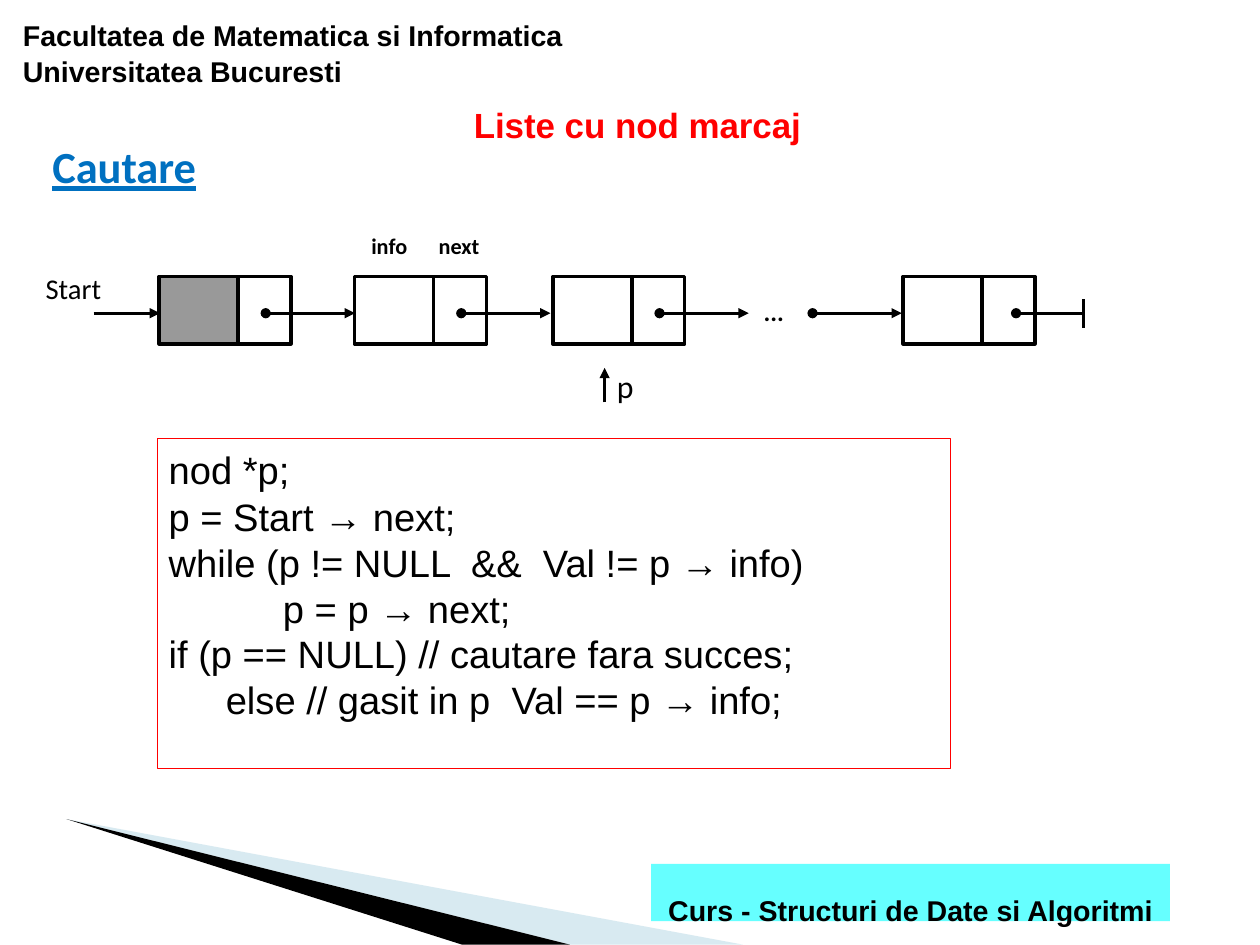
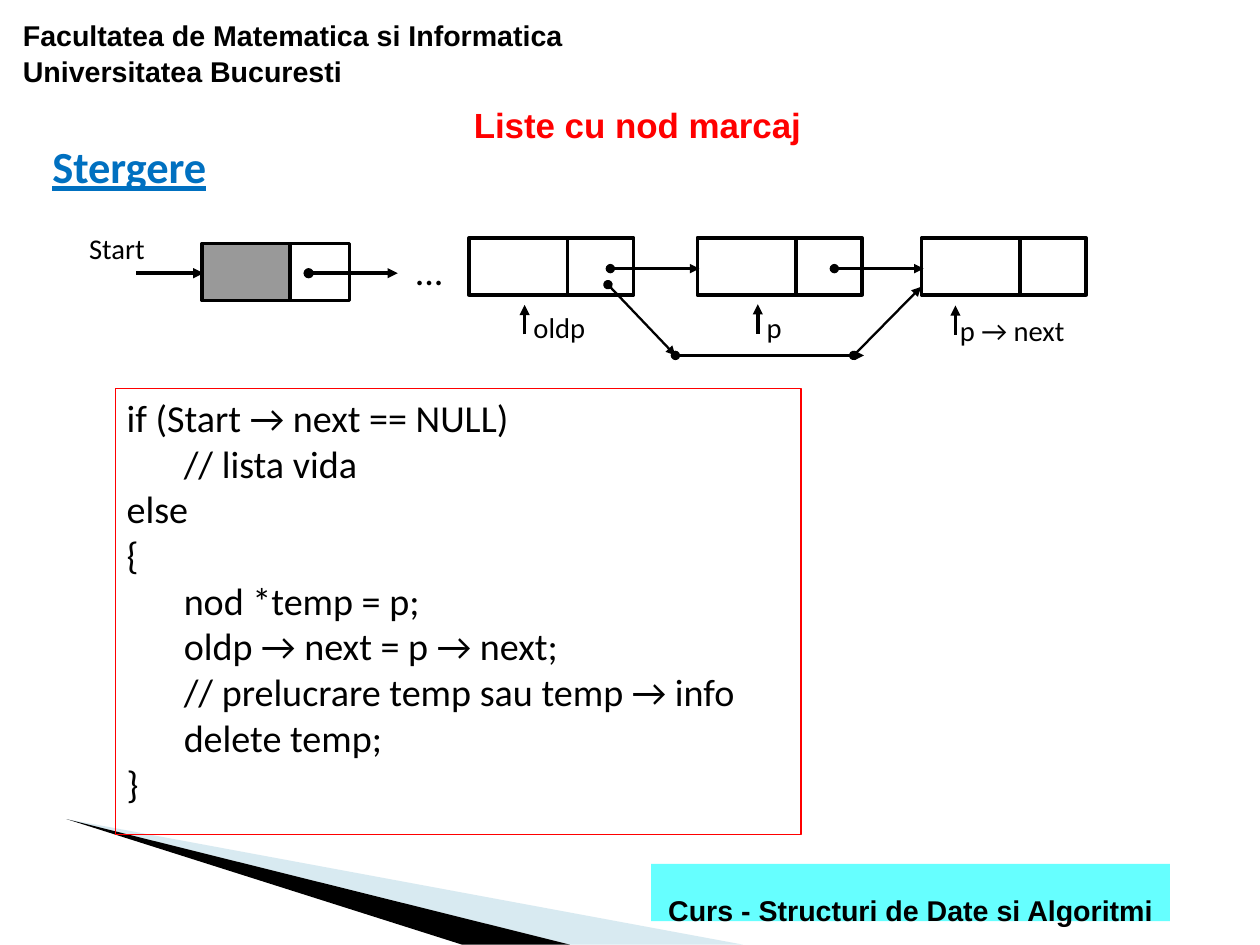
import pptx
import pptx.util
import pptx.dml.color
import pptx.enum.shapes
import pptx.enum.text
import pptx.oxml.ns
import lxml.etree

Pt = pptx.util.Pt
KIND = pptx.enum.shapes.MSO_SHAPE.RECTANGLE
TOP = pptx.enum.text.MSO_ANCHOR.TOP
MID = pptx.enum.text.MSO_ANCHOR.MIDDLE
LEFT = pptx.enum.text.PP_ALIGN.LEFT
MIDST = pptx.enum.text.PP_ALIGN.CENTER

# Content: all lengths are points
WIDE, HIGH = 793.75, 595.25
HUES = {"ink": "000000", "paper": "FFFFFF", "title": "FF0000", "head": "0070C0",
        "mark": "999999", "foot": "66FFFF", "wedge": "9FCBDC"}
SCHOOL = "Facultatea de Matematica si Informatica Universitatea Bucuresti"
TITLE = "Liste cu nod marcaj"
COURSE = "Curs - Structuri de Date si Algoritmi"
TIP = (42.5, 515.7)
WEDGES = [("wedge", 468, 359, 40), ("ink", 359, 291, 100)]
TAB = 36
BOLD, THIN = 2.15, 1.45

# Cell sizes: info width, next width, height
SMALL, FIRST, LARGE = (49.8, 33.3, 42.5), (55.4, 37.4, 36), (62.2, 41.6, 36)
ROW, AXIS = 174.2, 197.3
STARTS = [100.2, 223.4, 348.3, 568.9]
DOT, REACH = 67.2, 56.2

# Nodes: left, top, sizes, marked; lines: from, to, weight, head, tail
# Labels: text, box, size, bold, inset, anchor; code lines: tabs, text
SEARCH = {
    "head": "Cautare",
    "nodes": [(x, ROW, SMALL, x == STARTS[0]) for x in STARTS],
    "lines": [((x + DOT, AXIS), (x + DOT + REACH, AXIS), BOLD, "oval", "triangle")
              for x in STARTS[:3]] + [
        ((59, AXIS), (100.8, AXIS), BOLD, None, "triangle"),
        ((511.9, AXIS), (568.1, AXIS), BOLD, "oval", "triangle"),
        ((640.1, AXIS), (682.6, AXIS), BOLD, "oval", None),
        ((682.6, 188.6), (682.6, 206.6), BOLD, None, None),
        ((380.9, 253.4), (380.9, 231.8), BOLD, None, "triangle")],
    "labels": [
        ("...", (481, 184.3, 20.9, 23), 16, True, (0, 0), MID),
        ("Start", (21.6, 167, 66.2, 29.5), 18, False, (7.2, 3.6), TOP),
        ("info", (226.8, 142.6, 44.6, 27.4), 14, True, (7.2, 3.6), TOP),
        ("next", (269.3, 142.6, 54.7, 27.4), 14, True, (7.2, 3.6), TOP),
        ("p", (381.6, 227.5, 25.2, 30.2), 20, False, (7.2, 3.6), TOP)],
    "box": (99.2, 276.2, 499.7, 208.1), "font": "Arial", "loose": 2,
    "code": [(0, "nod *p;"), (0, "p = Start → next;"),
             (0, "while (p != NULL  &&  Val != p → info)"),
             (2, "p = p → next;"),
             (0, "if (p == NULL) // cautare fara succes;"),
             (1, "else // gasit in p\tVal == p → info;")],
}
DELETE = {
    "head": "Stergere",
    "nodes": [(127.4, 153.4, FIRST, True)] + [
        (x, 149.8, LARGE, False) for x in (295.4, 439.3, 580.5)],
    "lines": [
        ((85.7, 172.1), (128.2, 172.1), BOLD, None, "triangle"),
        ((194.4, 172.1), (250.6, 172.1), BOLD, "oval", "triangle"),
        ((384.5, 169.2), (440.6, 169.2), THIN, "oval", "triangle"),
        ((525.6, 169.2), (581.8, 169.2), THIN, "oval", "triangle"),
        ((383, 179.3), (425.5, 223.9), THIN, "oval", "triangle"),
        ((425.5, 223.9), (544.3, 223.9), THIN, "oval", "triangle"),
        ((537.8, 223.9), (580.3, 180.7), THIN, "oval", "triangle")] + [
        ((x, y + 18.6), (x, y), BOLD, None, "triangle")
        for x, y in ((330.5, 192), (477.4, 191.6), (601.9, 192.4))],
    "labels": [
        (text, box, size, False, (7.2, 3.6), TOP) for text, box, size in (
            ("Start", (49, 141.8, 66.2, 29.5), 18),
            ("...", (254.2, 152.6, 43.9, 34.6), 24),
            ("oldp", (329, 191.5, 56.9, 23.8), 18),
            ("p", (475.9, 191.5, 24.5, 23.8), 18),
            ("p → next", (597.6, 193.7, 102.2, 23.8), 18))],
    "box": (72.7, 244.8, 432, 280.8), "font": "Calibri", "loose": 0,
    "code": [(0, "if (Start → next == NULL)"), (1, "// lista vida"),
             (0, "else"), (0, "{"), (1, "nod *temp = p;"),
             (1, "oldp → next = p → next;"),
             (1, "// prelucrare temp sau temp → info"),
             (1, "delete temp;"), (0, "}")],
}


def hue(name):
    """Return the named colour."""
    return pptx.dml.color.RGBColor.from_string(HUES[name])


def child(node, tag, **marks):
    """Append a drawing element to a node."""
    return lxml.etree.SubElement(node, pptx.oxml.ns.qn("a:" + tag), marks)


def paint(shape, fill=None, line=None, width=BOLD):
    """Give a shape its fill and outline, without a shadow."""
    shape.shadow.inherit = False
    if fill:
        shape.fill.solid()
        shape.fill.fore_color.rgb = hue(fill)
    else:
        shape.fill.background()
    if line:
        shape.line.color.rgb = hue(line)
        shape.line.width = Pt(width)
    else:
        shape.line.fill.background()


def block(slide, box, **look):
    """Add a painted rectangle."""
    shape = slide.shapes.add_shape(KIND, *map(Pt, box))
    paint(shape, **look)
    return shape


def style(para, size, face="Calibri", color="ink", bold=False, line=False,
          align=LEFT, space=None):
    """Set the font, alignment and line spacing of a paragraph."""
    font = para.font
    font.size, font.name, font.bold, font.underline = Pt(size), face, bold, line
    font.color.rgb = hue(color)
    para.alignment = align
    if space:
        para.line_spacing = space


def frame(shape, inset=(7.2, 3.6), anchor=TOP):
    """Set the insets and anchor of a shape and return its text frame."""
    body = shape.text_frame
    body.word_wrap = True
    body.vertical_anchor = anchor
    body.margin_left = body.margin_right = Pt(inset[0])
    body.margin_top = body.margin_bottom = Pt(inset[1])
    return body


def label(slide, text, box, size, inset=(7.2, 3.6), anchor=TOP, **look):
    """Add a text box of one paragraph."""
    body = frame(slide.shapes.add_textbox(*map(Pt, box)), inset, anchor)
    body.text = text
    style(body.paragraphs[0], size, **look)


def base(slide, head):
    """Draw what all slides share, and the heading."""
    for color, right, left, alpha in WEDGES:
        form = slide.shapes.build_freeform(*TIP, scale=Pt(1))
        form.add_line_segments([(right, HIGH), (left, HIGH)], close=True)
        wedge = form.convert_to_shape()
        paint(wedge, fill=color)
        if alpha < 100:
            tone = wedge.fill._xPr.find(".//" + pptx.oxml.ns.qn("a:srgbClr"))
            child(tone, "alpha", val=str(alpha * 1000))
    label(slide, SCHOOL, (6.5, 6.2, 396.7, 52.6), 18, inset=(7.9, 4.3),
          face="Arial", bold=True, space=1.04)
    foot = frame(block(slide, (410.2, 544.2, 326.9, 36), fill="foot"), anchor=MID)
    foot.text = COURSE
    style(foot.paragraphs[0], 18, "Arial", bold=True, align=MIDST, space=2.0)
    label(slide, TITLE, (70.4, 63.4, 662.4, 28.8), 22, inset=(0, 0.7),
          face="Arial", color="title", bold=True, align=MIDST, space=1.04)
    label(slide, head, (25.9, 84.2, 226.1, 41), 28, anchor=MID,
          color="head", bold=True, line=True)


def node(slide, left, top, sizes, marked):
    """Draw a list node: an info cell and a next cell."""
    info, link, high = sizes
    block(slide, (left, top, info, high), fill="mark" if marked else None, line="ink")
    block(slide, (left + info, top, link, high), line="ink")


def link(slide, start, end, width, head, tail):
    """Draw a line with optional end marks."""
    kind = pptx.enum.shapes.MSO_CONNECTOR.STRAIGHT
    line = slide.shapes.add_connector(kind, *map(Pt, start + end))
    line.line.color.rgb = hue("ink")
    line.line.width = Pt(width)
    stroke = line.line._get_or_add_ln()
    for tag, mark in (("headEnd", head), ("tailEnd", tail)):
        if mark:
            child(stroke, tag, type=mark)
    child(line._element.spPr, "effectLst")


def code(slide, box, rows, face, loose):
    """Draw the framed code, one paragraph a line."""
    body = frame(block(slide, box, line="title", width=0.74))
    for i, (tabs, text) in enumerate(rows):
        para = body.paragraphs[0] if i == 0 else body.add_paragraph()
        para.text = text
        props = para._p.get_or_add_pPr()
        props.set("marL", str(Pt(tabs * TAB)))
        props.set("indent", "0")
        if "\t" in text:
            stops = child(props, "tabLst")
            for n in range(1, 8):
                child(stops, "tab", pos=str(Pt(n * TAB)), algn="l")
        style(para, 24, face, space=1.04 if i < loose else None)


def build(deck, page):
    """Add one slide."""
    slide = deck.slides.add_slide(deck.slide_layouts[6])
    slide.background.fill.solid()
    slide.background.fill.fore_color.rgb = hue("paper")
    base(slide, page["head"])
    for item in page["nodes"]:
        node(slide, *item)
    for item in page["lines"]:
        link(slide, *item)
    for text, box, size, bold, inset, anchor in page["labels"]:
        label(slide, text, box, size, inset, anchor, bold=bold)
    code(slide, page["box"], page["code"], page["font"], page["loose"])


deck = pptx.Presentation()
deck.slide_width, deck.slide_height = Pt(WIDE), Pt(HIGH)
for page in (SEARCH, DELETE):
    build(deck, page)
deck.save("out.pptx")
